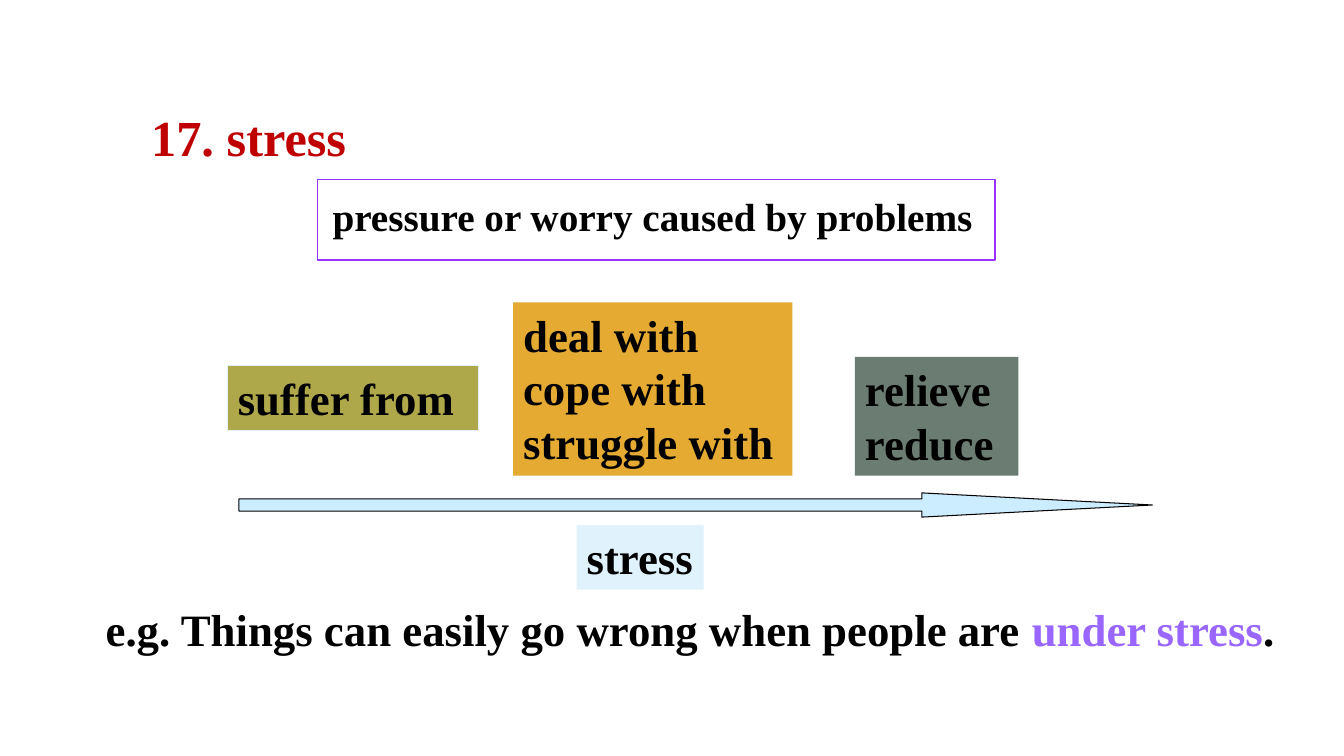
from lxml.etree import SubElement
from pptx import Presentation
from pptx.dml.color import RGBColor
from pptx.enum.shapes import MSO_SHAPE as Preset
from pptx.enum.text import MSO_ANCHOR as Anchor, PP_ALIGN as Align
from pptx.util import Inches, Pt

BLACK = RGBColor(0x00, 0x00, 0x00)
WHITE = RGBColor(0xFF, 0xFF, 0xFF)
RED = RGBColor(0xC0, 0x00, 0x00)
VIOLET = RGBColor(0x99, 0x33, 0xFF)
LILAC = RGBColor(0x99, 0x66, 0xFF)
SKY = RGBColor(0xCC, 0xEC, 0xFF)
PALE = RGBColor(0xE0, 0xF2, 0xFC)
OLIVE = RGBColor(0xAF, 0xA8, 0x4B)
AMBER = RGBColor(0xE4, 0xAA, 0x32)
SLATE = RGBColor(0x6B, 0x7D, 0x72)

FONT = "Times New Roman"
CELL = Inches(0.1)  # side of one grid column and row
LINE_ROWS = 5.4  # one line of 32 pt text
PADDING_ROWS = 1  # top and bottom insets together


def grid(*cells):
    return [round(cell * CELL) for cell in cells]


def rows_for(lines):
    return PADDING_ROWS + LINE_ROWS * len(lines)


def write(shape, lines, size=32, color=BLACK, anchor=Anchor.TOP):
    """Each line is a list of (text, own colour or None) pairs."""
    frame = shape.text_frame
    frame.word_wrap = True
    frame.vertical_anchor = anchor
    for index, line in enumerate(lines):
        paragraph = frame.paragraphs[0] if index == 0 else frame.add_paragraph()
        paragraph.alignment = Align.LEFT
        font = paragraph.font
        font.name, font.size, font.bold = FONT, Pt(size), True
        font.color.rgb = color
        for text, own_color in line:
            run = paragraph.add_run()
            run.text = text
            # Runs carry the typeface for viewers that skip paragraph defaults
            run.font.name, run.font.size, run.font.bold = FONT, Pt(size), True
            run.font.color.rgb = own_color or color


def add_label(slide, area, text, size, color=BLACK, anchor=Anchor.TOP):
    label = slide.shapes.add_textbox(*grid(*area))
    write(label, [[(text, None)]], size, color, anchor)


def add_block(slide, area, preset=Preset.RECTANGLE, fill=None, line=None, width=0.75):
    block = slide.shapes.add_shape(preset, *grid(*area))
    block.shadow.inherit = False
    if fill is None:
        block.fill.background()
    else:
        block.fill.solid()
        block.fill.fore_color.rgb = fill
    if line is None:
        block.line.fill.background()
    else:
        block.line.color.rgb = line
        block.line.width = Pt(width)
    return block


def add_phrases(slide, left, bottom, columns, phrases, fill, line=None):
    """A filled box that stands on the given row and grows with its phrases."""
    rows = rows_for(phrases)
    box = add_block(slide, (left, bottom - rows, columns, rows), fill=fill, line=line)
    write(box, [[(phrase, None)] for phrase in phrases])


def main():
    deck = Presentation()
    deck.slide_width, deck.slide_height = Inches(13.33), Inches(7.5)
    slide = deck.slides.add_slide(deck.slide_layouts[6])

    # Definition in its frame
    add_label(slide, (32, 17.1, 69.6, 8.7),
              "pressure or worry caused by problems", 28, anchor=Anchor.MIDDLE)
    add_block(slide, (31.5, 17.8, 67.2, 8), line=VIOLET, width=1)

    # Arrow from suffering to relief
    arrow = add_block(slide, (23.7, 48.9, 90.6, 2.4), Preset.RIGHT_ARROW, SKY, BLACK)
    arrow.adjustments[0], arrow.adjustments[1] = 0.5, 9.52

    # Verbs above the arrow, noun below it
    add_phrases(slide, 57.2, 58.5, 12.6, ["stress"], PALE)
    add_phrases(slide, 22.6, 42.7, 24.9, ["suffer from"], OLIVE, PALE)
    add_phrases(slide, 50.9, 47.2, 27.7,
                ["deal with", "cope with", "struggle with"], AMBER)
    add_phrases(slide, 84.8, 47.2, 16.2, ["relieve", "reduce"], SLATE)

    # Example sentence
    sentence = [("e.g. Things can easily go wrong when people are ", None),
                ("under stress", LILAC), (".", None)]
    example = add_block(slide, (9.5, 59.2, 119, rows_for([sentence])), fill=WHITE)
    write(example, [sentence], anchor=Anchor.MIDDLE)

    # Heading
    add_label(slide, (14, 10, 48.9, 7.1), "17. stress", 36, RED)

    deck.save("out.pptx")


if __name__ == "__main__":
    main()
